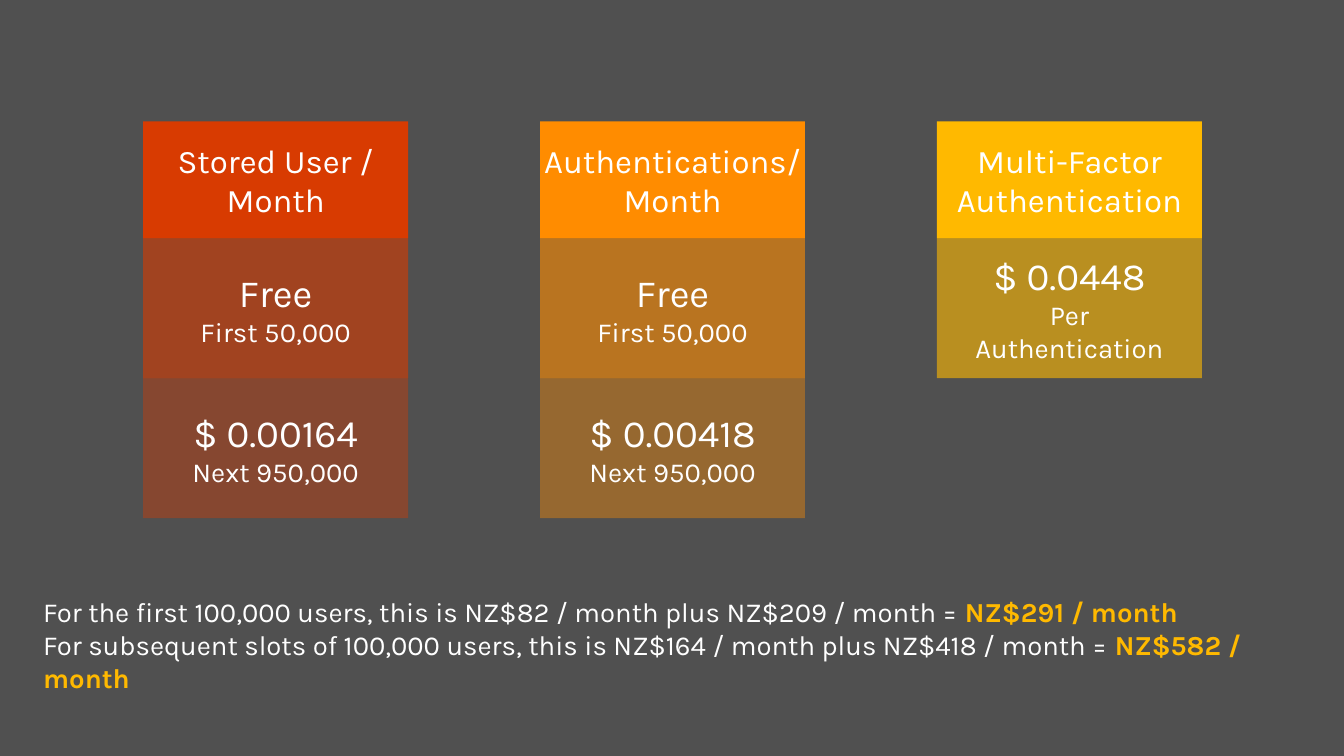
from lxml import etree
from pptx import Presentation
from pptx import util as u
from pptx.dml.color import RGBColor
from pptx.enum import shapes, text
from pptx.oxml.ns import qn


def paint(fill, color, alpha=100):
    fill.solid()
    fill.fore_color.rgb = RGBColor.from_string(color)
    if alpha < 100:
        clr = fill._xPr.find(qn("a:solidFill"))[0]
        etree.SubElement(clr, qn("a:alpha")).set("val", str(alpha * 1000))


def style(r, size, color="FFFFFF", bold=False):
    r.font.name = "Karla"
    r.font.size = u.Pt(size)
    r.font.bold = bold
    paint(r.font.fill, color)


prs = Presentation()
prs.slide_width, prs.slide_height = u.Cm(34.54), u.Cm(19.43)
s = prs.slides.add_slide(prs.slide_layouts[6])
paint(s.background.fill, "505050")

columns = [
    ("D83B01", ["Stored User /\nMonth", "Free\nFirst 50,000", "$ 0.00164\nNext 950,000"]),
    ("FF8C00", ["Authentications/ Month", "Free\nFirst 50,000", "$ 0.00418\nNext 950,000"]),
    ("FFB900", ["Multi-Factor\nAuthentication", "$ 0.0448\nPer\nAuthentication"]),
]
rows = [
    (3.12, 3.0, 100, 24, 24),
    (6.12, 3.6, 60, 28, 20),
    (9.72, 3.6, 40, 28, 20),
]

for col, (color, cells) in enumerate(columns):
    for cell, (top, height, alpha, first_size, next_size) in zip(cells, rows):
        sp = s.shapes.add_shape(shapes.MSO_SHAPE.RECTANGLE, u.Cm(3.68 + 10.2 * col),
                                u.Cm(top), u.Cm(6.81), u.Cm(height))
        sp.shadow.inherit = False
        paint(sp.fill, color, alpha)
        sp.line.fill.background()
        tf = sp.text_frame
        tf.word_wrap = True
        tf.margin_left = tf.margin_right = 0
        tf.vertical_anchor = text.MSO_ANCHOR.MIDDLE
        tf.text = cell
        for i, p in enumerate(tf.paragraphs):
            p.alignment = text.PP_ALIGN.CENTER
            style(p.runs[0], next_size if i else first_size)

totals = [
    ("For the first 100,000 users, this is NZ$82 / month plus NZ$209 / month = ",
     "NZ$291 / month"),
    ("For subsequent slots of 100,000 users, this is NZ$164 / month plus NZ$418 / month = ",
     "NZ$582 / month"),
]
tf = s.shapes.add_textbox(u.Cm(0.86), u.Cm(15.52), u.Cm(33.2), u.Cm(2.82)).text_frame
tf.word_wrap = True
tf.margin_bottom = u.Cm(0.86)
tf.vertical_anchor = text.MSO_ANCHOR.MIDDLE
tf.text = "\n".join(sentence for sentence, total in totals)
for p, (sentence, total) in zip(tf.paragraphs, totals):
    style(p.runs[0], 20)
    r = p.add_run()
    r.text = total
    style(r, 20, "FFB900", True)

prs.save("out.pptx")
